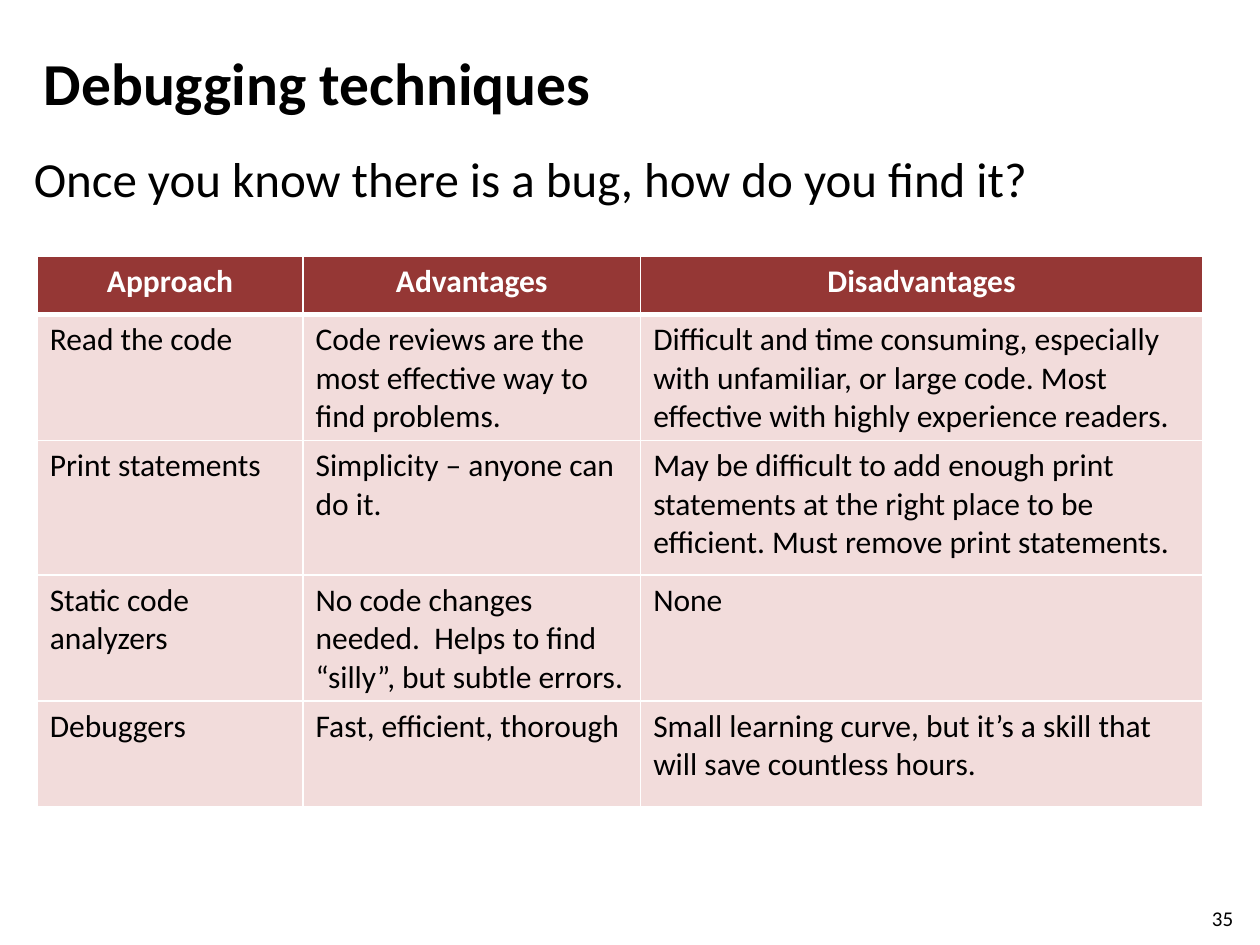
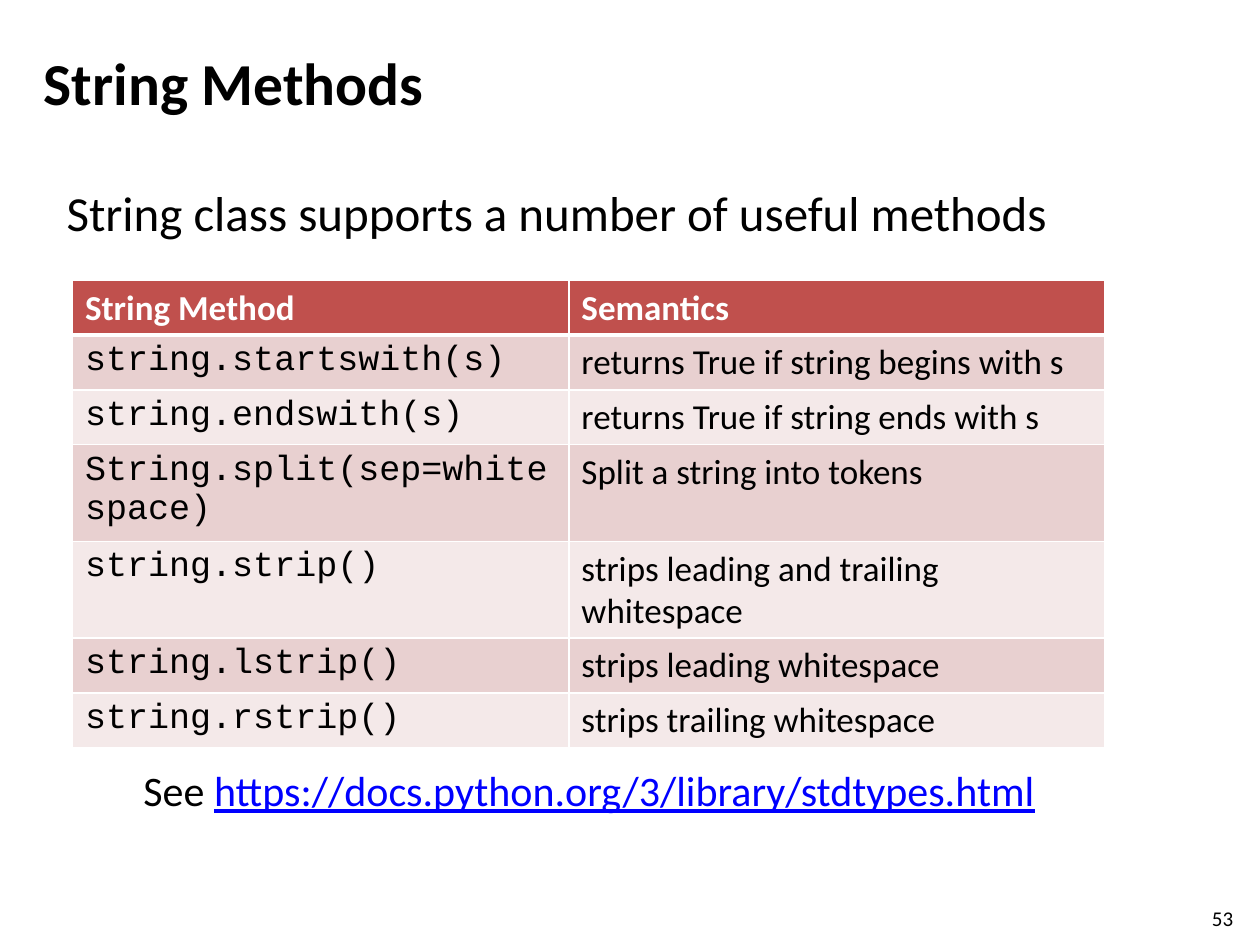
"""Build two slides on debugging techniques and string methods."""
from lxml import etree
from pptx import Presentation
from pptx.dml.color import RGBColor
from pptx.enum.text import MSO_ANCHOR, PP_ALIGN
from pptx.oxml.ns import qn
from pptx.util import Inches, Pt

LEFT, CENTER = PP_ALIGN.LEFT, PP_ALIGN.CENTER
TOP, MIDDLE = MSO_ANCHOR.TOP, MSO_ANCHOR.MIDDLE
BODY_FONT, CODE_FONT = "Calibri", "Courier New"
COLORS = {
    "text": "000000",
    "white": "FFFFFF",
    "link": "0000FF",
    "dark red": "953735",
    "pale red": "F2DCDB",
    "red": "C0504D",
    "band": "E8D0D0",
    "light band": "F4E9E9",
}

presentation = Presentation()
presentation.slide_width = Inches(10)
presentation.slide_height = Inches(7.5)
COLUMN = presentation.slide_width / 100
ROW = presentation.slide_height / 75


def add_text(slide, box, text, size, bold=False, anchor=TOP):
    """Add a one-paragraph text box placed in grid columns and rows."""
    left, top, width, height = box
    shape = slide.shapes.add_textbox(int(left * COLUMN), int(top * ROW), int(width * COLUMN), int(height * ROW))
    frame = shape.text_frame
    frame.word_wrap = True
    frame.vertical_anchor = anchor
    paragraph = frame.paragraphs[0]
    paragraph.text = text
    font = paragraph.font
    font.name, font.size, font.bold = BODY_FONT, Pt(size), bold
    font.color.rgb = RGBColor.from_string(COLORS["text"])
    return paragraph


def add_grid_table(slide, corner, widths, heights, content, size, header_fill, bands, header_align, first_font):
    """Add a white-ruled table with a header row and cycling band fills."""
    left, top = corner
    shape = slide.shapes.add_table(
        len(heights), len(widths), int(left * COLUMN), int(top * ROW),
        int(sum(widths) * COLUMN), int(sum(heights) * ROW))
    table = shape.table
    for table_column, width in zip(table.columns, widths):
        table_column.width = int(width * COLUMN)
    for row_index, (height, texts) in enumerate(zip(heights, content)):
        table.rows[row_index].height = int(height * ROW)
        header = row_index == 0
        fill = header_fill if header else bands[(row_index - 1) % len(bands)]
        rules = {"lnL": 1, "lnR": 1, "lnT": 3 if row_index == 1 else 1, "lnB": 3 if header else 1}
        for column_index, text in enumerate(texts):
            cell = table.cell(row_index, column_index)
            properties = cell._tc.get_or_add_tcPr()
            for side, points in rules.items():
                line = etree.SubElement(properties, qn(f"a:{side}"), w=str(Pt(points)))
                solid = etree.SubElement(line, qn("a:solidFill"))
                etree.SubElement(solid, qn("a:srgbClr"), val=COLORS["white"])
            cell.fill.solid()
            cell.fill.fore_color.rgb = RGBColor.from_string(COLORS[fill])
            paragraph = cell.text_frame.paragraphs[0]
            paragraph.text = text
            paragraph.alignment = header_align if header else LEFT
            font = paragraph.font
            font.name = first_font if column_index == 0 and not header else BODY_FONT
            font.size, font.bold = Pt(size), header
            font.color.rgb = RGBColor.from_string(COLORS["white" if header else "text"])


slides = []
for title, number in (("Debugging techniques", "35"), ("String Methods", "53")):
    slide = presentation.slides.add_slide(presentation.slide_layouts[6])
    add_text(slide, (2.5, 3, 86.7, 7), title, 34, bold=True, anchor=MIDDLE)
    add_text(slide, (95.2, 71.4, 4, 2.4), number, 12)
    slides.append(slide)
debugging, methods = slides

add_text(debugging, (1.7, 11.3, 93, 31.4), "Once you know there is a bug, how do you find it?", 28)
approaches = [
    ("Approach", "Advantages", "Disadvantages"),
    ("Read the code",
     "Code reviews are the most effective way to find problems.",
     "Difficult and time consuming, especially with unfamiliar, or large code. "
     "Most effective with highly experience readers."),
    ("Print statements",
     "Simplicity – anyone can do it.",
     "May be difficult to add enough print statements at the right place to be efficient. "
     "Must remove print statements."),
    ("Static code analyzers",
     "No code changes needed.  Helps to find “silly”, but subtle errors.",
     "None"),
    ("Debuggers",
     "Fast, efficient, thorough",
     "Small learning curve, but it’s a skill that will save countless hours."),
]
add_grid_table(debugging, (2.95, 20.35), (21.1, 26.8, 44.6), (4.6, 9.6, 10.7, 9.6, 8.4), approaches,
               18, "dark red", ("pale red",), CENTER, BODY_FONT)

string_methods = [
    ("String Method", "Semantics"),
    ("string.startswith(s)", "returns True if string begins with s"),
    ("string.endswith(s)", "returns True if string ends with s"),
    ("String.split(sep=whitespace)", "Split a string into tokens"),
    ("string.strip()", "strips leading and trailing whitespace"),
    ("string.lstrip()", "strips leading whitespace"),
    ("string.rstrip()", "strips trailing whitespace"),
]
add_grid_table(methods, (5.75, 22.25), (39.4, 42.55), [4.35] * len(string_methods), string_methods,
               20, "red", ("band", "light band"), LEFT, CODE_FONT)
reference = add_text(methods, (10.4, 60.2, 84.8, 5), "See ", 24)
address = reference.add_run()
address.text = "https://docs.python.org/3/library/stdtypes.html"
address.font.underline = True
address.font.color.rgb = RGBColor.from_string(COLORS["link"])
add_text(methods, (4.3, 14, 84.8, 5.7), "String class supports a number of useful methods", 28)

presentation.save("out.pptx")
